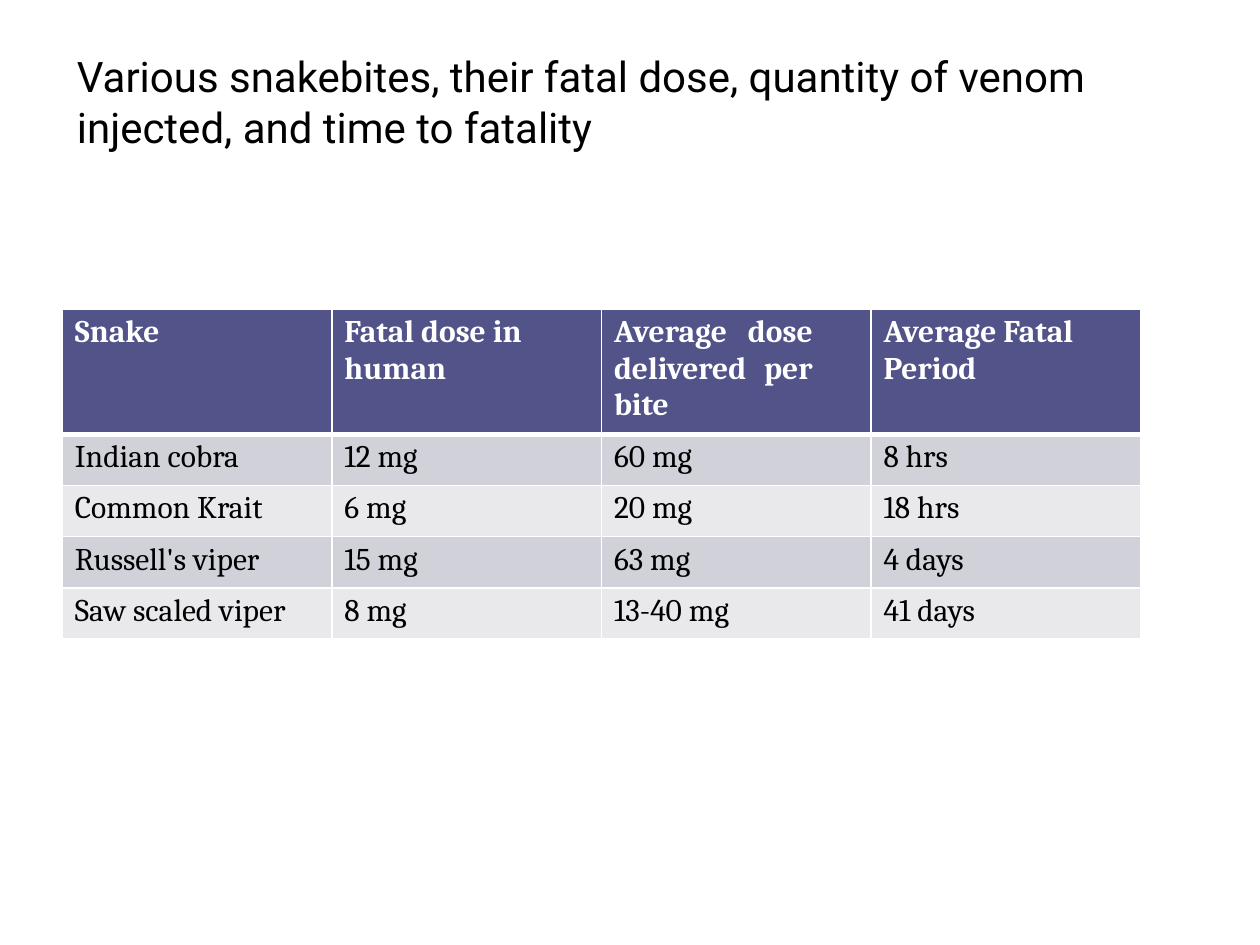
import pptx
import pptx.util
import pptx.dml.color
import pptx.enum.text
import pptx.oxml
import pptx.oxml.ns

Cm = pptx.util.Cm
Pt = pptx.util.Pt
ALIGN = pptx.enum.text.PP_ALIGN
ANCHOR = pptx.enum.text.MSO_ANCHOR


def color(value):
    return pptx.dml.color.RGBColor.from_string(value)


def apply(obj, values):
    for name, value in values.items():
        setattr(obj, name, value)


class SlideBuilder:
    title_font = {"name": "Roboto", "size": Pt(24), "bold": False}
    header_font = {"name": "Cambria", "size": Pt(18), "bold": True}
    body_font = {"name": "Cambria", "size": Pt(18), "bold": False}
    header_fill = "525389"
    band_fills = ("D1D1DA", "E9E9EC")
    white = "FFFFFF"
    black = "000000"

    def __init__(self, prs):
        self.s = prs.slides.add_slide(prs.slide_layouts[5])

    def text(self, tf, words, font, font_color, para):
        p = tf.paragraphs[0]
        apply(p, para)
        r = p.add_run()
        r.text = words
        apply(r.font, font)
        r.font.color.rgb = color(font_color)

    def title(self, words, box):
        sp = self.s.shapes.title
        apply(sp, dict(zip(("left", "top", "width", "height"), map(Cm, box))))
        tf = sp.text_frame
        apply(tf, {"margin_left": Cm(0.03), "margin_right": 0,
                   "margin_top": Cm(0.56), "margin_bottom": 0,
                   "word_wrap": True, "vertical_anchor": ANCHOR.TOP,
                   "auto_size": pptx.enum.text.MSO_AUTO_SIZE.NONE})
        self.text(tf, words, self.title_font, self.black,
                  {"alignment": ALIGN.LEFT, "space_before": Pt(1)})

    def borders(self, cell, widths):
        tc_pr = cell._tc.get_or_add_tcPr()
        for i, (side, width) in enumerate(widths.items()):
            tc_pr.insert(i, pptx.oxml.parse_xml(
                f'<a:ln{side} {pptx.oxml.ns.nsdecls("a")} w="{Pt(width)}"><a:solidFill>'
                f'<a:srgbClr val="{self.white}"/></a:solidFill></a:ln{side}>'))

    def table(self, rows, box, heights, justified):
        sp = self.s.shapes.add_table(len(rows), len(rows[0]), *map(Cm, box))
        tbl = sp.table
        for col in tbl.columns:
            col.width = Cm(box[2] / len(rows[0]))
        for i, values in enumerate(rows):
            tbl.rows[i].height = Cm(heights[min(i, 1)])
            header = i == 0
            fill = self.header_fill if header else self.band_fills[(i - 1) % 2]
            font = self.header_font if header else self.body_font
            for j, words in enumerate(values):
                cell = tbl.cell(i, j)
                narrow = (i, j) == justified
                apply(cell, {"margin_left": Cm(0.25), "margin_top": Cm(0.1),
                             "margin_right": Cm(1.18 if narrow else 0),
                             "margin_bottom": 0, "vertical_anchor": ANCHOR.TOP})
                cell.fill.solid()
                cell.fill.fore_color.rgb = color(fill)
                self.borders(cell, {"L": 1, "R": 1, "T": 3 if i == 1 else 1,
                                    "B": 3 if header else 1})
                self.text(cell.text_frame, words, font,
                          self.white if header else self.black,
                          {"alignment": ALIGN.JUSTIFY if narrow else ALIGN.LEFT,
                           "space_before": Pt(3)})


def main():
    prs = pptx.Presentation()
    apply(prs, {"slide_width": Cm(25.4), "slide_height": Cm(19.05)})
    slide = SlideBuilder(prs)
    slide.title("Various snakebites, their fatal dose, quantity of venom "
                "injected, and time to fatality", (1.52, 0.46, 22.35, 3.53))
    slide.table([
        ("Snake", "Fatal dose in human", "Average dose delivered per bite",
         "Average Fatal Period"),
        ("Indian cobra", "12 mg", "60 mg", "8 hrs"),
        ("Common Krait", "6 mg", "20 mg", "18 hrs"),
        ("Russell's viper", "15 mg", "63 mg", "4 days"),
        ("Saw scaled viper", "8 mg", "13-40 mg", "41 days"),
    ], (1.26, 6.24, 21.74, 6.65), (2.52, 1.03), justified=(0, 2))
    prs.save("out.pptx")


if __name__ == "__main__":
    main()
